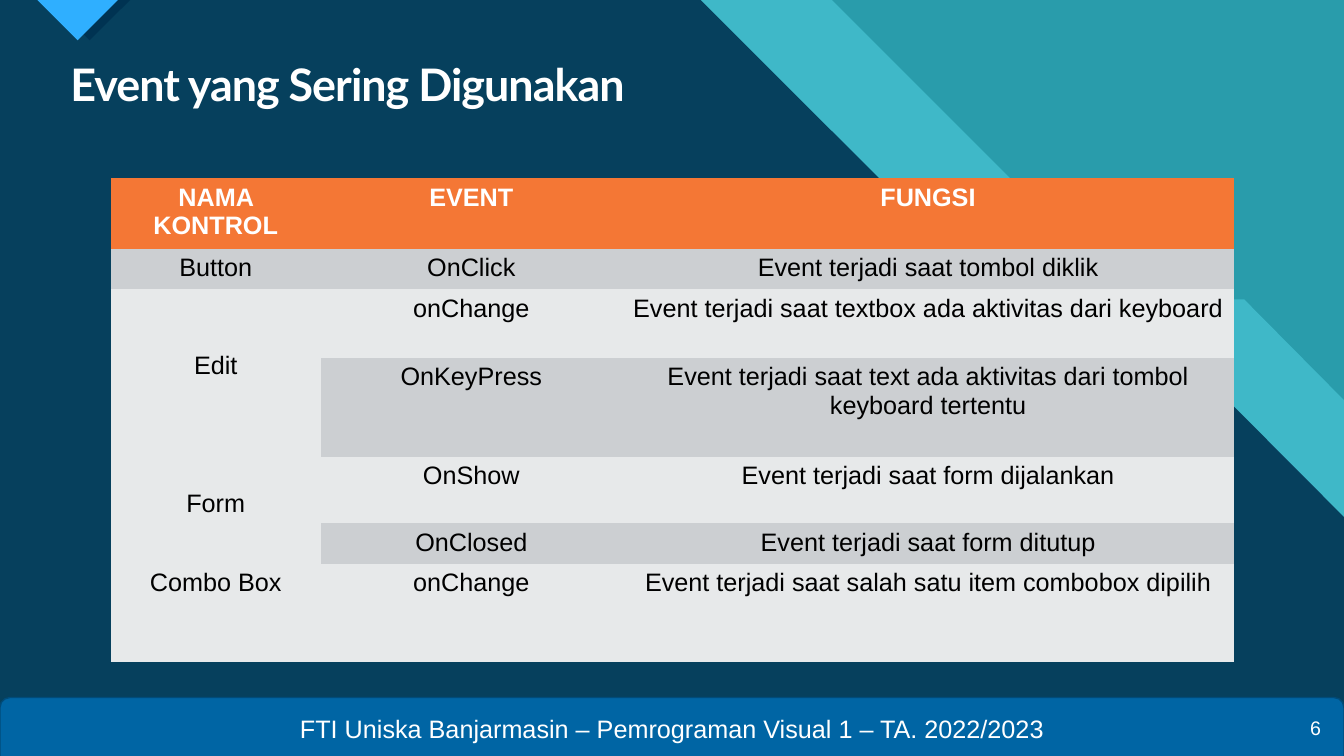
from dataclasses import dataclass

import pptx
import pptx.dml.color
import pptx.enum.shapes
import pptx.enum.text
import pptx.oxml
import pptx.oxml.ns
import pptx.util
from pptx.util import Inches

ALIGN = pptx.enum.text.PP_ALIGN
ANCHOR = pptx.enum.text.MSO_ANCHOR
SHAPE = pptx.enum.shapes.MSO_SHAPE
NO_GRID_STYLE = "{2D5ABB26-0587-4C30-8999-92F81FD0307C}"


@dataclass(frozen=True)
class Theme:
    teal: str = "299CAB"
    aqua: str = "47C3D3"
    navy: str = "003352"
    sky: str = "2FAFFF"
    footer: str = "0065A4"
    footer_line: str = "004B79"
    header: str = "F47735"
    band_dark: str = "CCCFD2"
    band_light: str = "E7E9EA"
    white: str = "FFFFFF"
    black: str = "000000"
    title_font: str = "Lato"
    body_font: str = "Arial"
    title_size: int = 32
    body_size: int = 18
    number_size: int = 14


THEME = Theme()
WIDTH, HEIGHT = 13.33, 7.5

HEADINGS = ["NAMA KONTROL", "EVENT", "FUNGSI"]
EVENTS = [
    ("Button", "OnClick", "Event terjadi saat tombol diklik"),
    ("Edit", "onChange", "Event terjadi saat textbox ada aktivitas dari keyboard"),
    ("", "OnKeyPress", "Event terjadi saat text ada aktivitas dari tombol keyboard tertentu"),
    ("Form", "OnShow", "Event terjadi saat form dijalankan"),
    ("", "OnClosed", "Event terjadi saat form ditutup"),
    ("Combo Box", "onChange", "Event terjadi saat salah satu item combobox dipilih"),
]
COLUMN_WIDTHS = [2.08, 2.99, 6.07]
ROW_HEIGHTS = [0.66, 0.4, 0.68, 0.98, 0.66, 0.4, 0.98]
MERGED_TOP_MARGINS = {2: 0.62, 4: 0.33}


def rgb(color):
    return pptx.dml.color.RGBColor.from_string(color)


def paint(shape, color, opacity=100):
    shape.shadow.inherit = False
    shape.fill.solid()
    shape.fill.fore_color.rgb = rgb(color)
    shape.line.fill.background()
    if opacity < 100:
        color_element = shape.fill._xPr.find(".//" + pptx.oxml.ns.qn("a:srgbClr"))
        alpha = pptx.oxml.parse_xml(f'<a:alpha {pptx.oxml.ns.nsdecls("a")} val="{opacity * 1000}"/>')
        color_element.append(alpha)


def write(text_frame, text, size, color, font=THEME.body_font, bold=False, align=ALIGN.CENTER):
    text_frame.word_wrap = True
    paragraph = text_frame.paragraphs[0]
    paragraph.alignment = align
    run = paragraph.add_run()
    run.text = text
    run.font.name = font
    run.font.size = pptx.util.Pt(size)
    run.font.bold = bold
    run.font.color.rgb = rgb(color)
    return run


def add_polygon(slide, points, color, opacity=100):
    corners = [(Inches(x), Inches(y)) for x, y in points]
    builder = slide.shapes.build_freeform(*corners[0])
    builder.add_line_segments(corners[1:], close=True)
    paint(builder.convert_to_shape(), color, opacity)


def add_backdrop(slide, left, top, width, height):
    base = slide.shapes.add_shape(
        SHAPE.RECTANGLE, Inches(left), Inches(top), Inches(width), Inches(height))
    paint(base, THEME.teal)
    right, bottom = left + width, top + height
    ridge = top + 2.97
    bands = [(8.25, 11.22, 12.34, 3.97, THEME.aqua, 74),
             (6.95, 9.92, 11.18, 5.13, THEME.navy, 90)]
    for start, ridge_start, ridge_end, drop, color, opacity in bands:
        add_polygon(slide, [
            (left, top), (left + start, top), (left + ridge_start, ridge),
            (left + ridge_end, ridge), (right, top + drop),
            (right, bottom), (left, bottom)], color, opacity)


def add_corner_marker(slide, left, top, width, height):
    for offset, color in [(0.12, THEME.navy), (0, THEME.sky)]:
        x = left + offset
        add_polygon(slide, [(x, top), (x + width, top), (x + width / 2, top + height)], color)


def add_title(slide, left, top, width, height):
    box = slide.shapes.add_textbox(Inches(left), Inches(top), Inches(width), Inches(height))
    run = write(box.text_frame, "Event yang Sering Digunakan", THEME.title_size, THEME.white,
                THEME.title_font, True, ALIGN.LEFT)
    run.font._element.set("spc", "-70")
    box.text_frame.paragraphs[0].line_spacing = 0.9


def add_event_table(slide, left, top, width, height):
    rows = [HEADINGS, *EVENTS]
    frame = slide.shapes.add_table(
        len(rows), len(HEADINGS), Inches(left), Inches(top), Inches(width), Inches(height))
    table = frame.table
    table.horz_banding = False
    table._tbl.tblPr.find(pptx.oxml.ns.qn("a:tableStyleId")).text = NO_GRID_STYLE
    for column, column_width in zip(table.columns, COLUMN_WIDTHS):
        column.width = Inches(column_width)
    for row, row_height in zip(table.rows, ROW_HEIGHTS):
        row.height = Inches(row_height)
    for row_index, margin in MERGED_TOP_MARGINS.items():
        table.cell(row_index, 0).merge(table.cell(row_index + 1, 0))
        table.cell(row_index, 0).margin_top = Inches(margin)
    for row_index, texts in enumerate(rows):
        is_header = row_index == 0
        band = THEME.band_dark if row_index % 2 else THEME.band_light
        for column_index, text in enumerate(texts):
            cell = table.cell(row_index, column_index)
            cell.fill.solid()
            cell.fill.fore_color.rgb = rgb(THEME.header if is_header else band)
            if text:
                write(cell.text_frame, text, THEME.body_size,
                      THEME.white if is_header else THEME.black, bold=is_header)


def add_footer(slide, left, top, width, height):
    bar = slide.shapes.add_shape(
        SHAPE.ROUND_2_SAME_RECTANGLE, Inches(left), Inches(top), Inches(width), Inches(height))
    paint(bar, THEME.footer)
    bar.line.color.rgb = rgb(THEME.footer_line)
    bar.line.width = pptx.util.Pt(1)
    bar.text_frame.vertical_anchor = ANCHOR.MIDDLE
    write(bar.text_frame, "FTI Uniska Banjarmasin – Pemrograman Visual 1 – TA. 2022/2023",
          THEME.body_size, THEME.white)
    number = slide.shapes.add_textbox(
        Inches(left + width - 0.57), Inches(top + 0.1), Inches(0.44), Inches(0.4))
    number.text_frame.vertical_anchor = ANCHOR.MIDDLE
    write(number.text_frame, "6", THEME.number_size, THEME.white, align=ALIGN.RIGHT)


def main():
    presentation = pptx.Presentation()
    presentation.slide_width = Inches(WIDTH)
    presentation.slide_height = Inches(HEIGHT)
    slide = presentation.slides.add_slide(presentation.slide_layouts[6])
    slide.background.fill.solid()
    slide.background.fill.fore_color.rgb = rgb(THEME.aqua)
    add_backdrop(slide, 0, 0, WIDTH, HEIGHT)
    add_corner_marker(slide, 0.37, 0, 0.8, 0.4)
    add_title(slide, 0.6, 0.57, 12.13, 1.46)
    add_event_table(slide, 1.1, 1.77, sum(COLUMN_WIDTHS), sum(ROW_HEIGHTS))
    add_footer(slide, 0, 6.92, WIDTH, 0.59)
    presentation.save("out.pptx")


if __name__ == "__main__":
    main()
